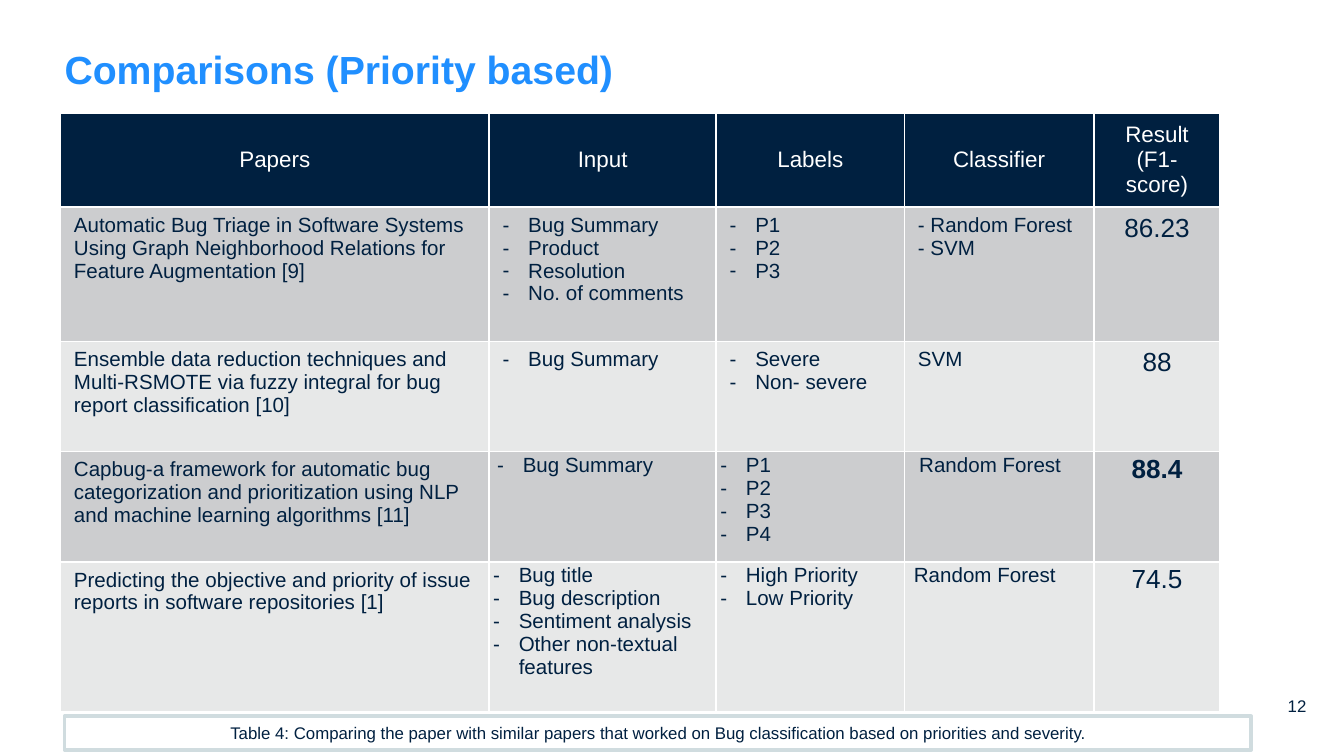
from lxml import etree
from pptx import Presentation
from pptx.dml.color import RGBColor
from pptx.enum.shapes import MSO_SHAPE
from pptx.enum.text import MSO_ANCHOR, MSO_AUTO_SIZE, PP_ALIGN
from pptx.oxml.ns import qn
from pptx.util import Inches, Pt

NAVY = RGBColor(0x00, 0x20, 0x40)
BLUE = RGBColor(0x20, 0x8F, 0xFF)
WHITE = RGBColor(0xFF, 0xFF, 0xFF)
DARK_BAND = RGBColor(0xCC, 0xCD, 0xCF)
LIGHT_BAND = RGBColor(0xE7, 0xE8, 0xE8)
FRAME = RGBColor(0xD0, 0xDC, 0xDF)

LEFT, CENTER, RIGHT = PP_ALIGN.LEFT, PP_ALIGN.CENTER, PP_ALIGN.RIGHT
TOP, MIDDLE = MSO_ANCHOR.TOP, MSO_ANCHOR.MIDDLE
FIT_SHAPE = MSO_AUTO_SIZE.SHAPE_TO_FIT_TEXT
RECTANGLE = MSO_SHAPE.RECTANGLE

BASE = {"name": "Arial", "color": NAVY, "bold": False}
TITLE = {**BASE, "size": Pt(21), "color": BLUE, "bold": True}
HEADER = {**BASE, "size": Pt(12), "color": WHITE}
BODY = {**BASE, "size": Pt(11)}
SCORE = {**BASE, "size": Pt(14)}
BEST_SCORE = {**SCORE, "bold": True}
SMALL = {**BASE, "size": Pt(9)}

COL_WIDTHS = [3.19, 1.69, 1.4, 1.41, 0.94]
ROW_HEIGHTS = [0.69, 1, 0.82, 0.82, 1.12]
HEADERS = ["Papers", "Input", "Labels", "Classifier", "Result (F1-score)"]
PAPERS = [
    [["Automatic Bug Triage in Software Systems Using Graph Neighborhood "
      "Relations for Feature Augmentation [9]"],
     ["Bug Summary", "Product", "Resolution", "No. of comments"],
     ["P1", "P2", "P3"], ["- Random Forest", "- SVM"], ["86.23"]],
    [["Ensemble data reduction techniques and Multi-RSMOTE via fuzzy "
      "integral for bug report classification [10]"],
     ["Bug Summary"], ["Severe", "Non- severe"], ["SVM"], ["88"]],
    [["Capbug-a framework for automatic bug categorization and "
      "prioritization using NLP and machine learning algorithms [11]"],
     ["-\tBug Summary"], ["P1", "P2", "P3", "P4"], ["Random Forest"],
     ["88.4"]],
    [["Predicting the objective and priority of issue reports in software "
      "repositories [1]"],
     ["Bug title", "Bug description", "Sentiment analysis",
      "Other non-textual features"],
     ["High Priority", "Low Priority"], ["Random Forest"], ["74.5"]],
]
LIST_COLS = (1, 2)
SCORE_COL = 4
FIRST_TIGHT_ROW = 3
BEST_ROW = 3
HANG = 0.19
EXTRA_INDENTS = {(3, 1): 0.03, (3, 3): 0.08, (4, 3): 0.04}


def set_margins(obj, x, y):
    for side, value in {"left": x, "right": x, "top": y, "bottom": y}.items():
        setattr(obj, f"margin_{side}", Inches(value))


def format_font(font, fmt):
    for name, value in fmt.items():
        if name == "color":
            font.color.rgb = value
        else:
            setattr(font, name, value)


def set_indent(p, left, hang, bullet):
    pPr = p._p.get_or_add_pPr()
    pPr.set("marL", str(Inches(left + hang)))
    pPr.set("indent", str(Inches(-hang)))
    if bullet:
        etree.SubElement(pPr, qn("a:buFont"), typeface=BASE["name"])
        etree.SubElement(pPr, qn("a:buChar"), char="-")


def write(tf, lines, fmt, align=LEFT, left=0, hang=0):
    for i, line in enumerate(lines):
        p = tf.paragraphs[0] if i == 0 else tf.add_paragraph()
        p.alignment = align
        if left or hang:
            set_indent(p, left, hang, bullet=hang and "\t" not in line)
        r = p.add_run()
        r.text = line
        format_font(r.font, fmt)


def set_borders(cell):
    tcPr = cell._tc.get_or_add_tcPr()
    for side in "LRTB":
        ln = etree.SubElement(tcPr, qn(f"a:ln{side}"), w=str(Pt(1)))
        fill = etree.SubElement(ln, qn("a:solidFill"))
        etree.SubElement(fill, qn("a:srgbClr"), val=str(WHITE))


def paint_cell(cell, color):
    set_borders(cell)
    cell.fill.solid()
    cell.fill.fore_color.rgb = color


def fill_paper_cell(cell, row, col, lines):
    paint_cell(cell, DARK_BAND if row % 2 else LIGHT_BAND)
    if row >= FIRST_TIGHT_ROW and col > 0:
        set_margins(cell, 0.03, 0.02)
    if col == SCORE_COL:
        write(cell.text_frame, lines,
              BEST_SCORE if row == BEST_ROW else SCORE, CENTER)
    else:
        write(cell.text_frame, lines, BODY,
              left=EXTRA_INDENTS.get((row, col), 0),
              hang=HANG if col in LIST_COLS else 0)


def add_comparison_table(s):
    frame = s.shapes.add_table(len(ROW_HEIGHTS), len(COL_WIDTHS), Inches(0.45),
                               Inches(0.84), Inches(sum(COL_WIDTHS)),
                               Inches(sum(ROW_HEIGHTS)))
    table = frame.table
    for column, width in zip(table.columns, COL_WIDTHS):
        column.width = Inches(width)
    for row, height in zip(table.rows, ROW_HEIGHTS):
        row.height = Inches(height)
    for col, header in enumerate(HEADERS):
        cell = table.cell(0, col)
        paint_cell(cell, NAVY)
        cell.vertical_anchor = MIDDLE
        write(cell.text_frame, [header], HEADER, CENTER)
    for row, paper in enumerate(PAPERS, 1):
        for col, lines in enumerate(paper):
            fill_paper_cell(table.cell(row, col), row, col, lines)


def add_title(s, text):
    sp = s.shapes.title
    sp.left, sp.top, sp.width, sp.height = map(Inches, (0.48, 0.34, 8.62, 0.49))
    tf = sp.text_frame
    set_margins(tf, 0, 0)
    tf.vertical_anchor = TOP
    write(tf, [text], TITLE)


def add_page_number(s, number):
    sp = s.shapes.add_textbox(*map(Inches, (9.39, 5.18, 0.33, 0.21)))
    tf = sp.text_frame
    tf.word_wrap = True
    set_margins(tf, 0, 0)
    write(tf, [number], SMALL, RIGHT)


def add_caption(s, text):
    sp = s.shapes.add_shape(RECTANGLE, *map(Inches, (0.48, 5.33, 8.83, 0.25)))
    sp.shadow.inherit = False
    sp.fill.solid()
    sp.fill.fore_color.rgb = WHITE
    sp.line.color.rgb = FRAME
    sp.line.width = Pt(2)
    tf = sp.text_frame
    tf.word_wrap = True
    tf.auto_size = FIT_SHAPE
    tf.vertical_anchor = MIDDLE
    write(tf, [text], SMALL, CENTER)


def main():
    prs = Presentation()
    prs.slide_width = Inches(10)
    prs.slide_height = prs.slide_width * 9 // 16
    s = prs.slides.add_slide(prs.slide_layouts[5])
    add_page_number(s, "12")
    add_title(s, "Comparisons (Priority based)")
    add_comparison_table(s)
    add_caption(s, "Table 4: Comparing the paper with similar papers that worked "
                   "on Bug classification based on priorities and severity.")
    prs.save("out.pptx")


if __name__ == "__main__":
    main()
